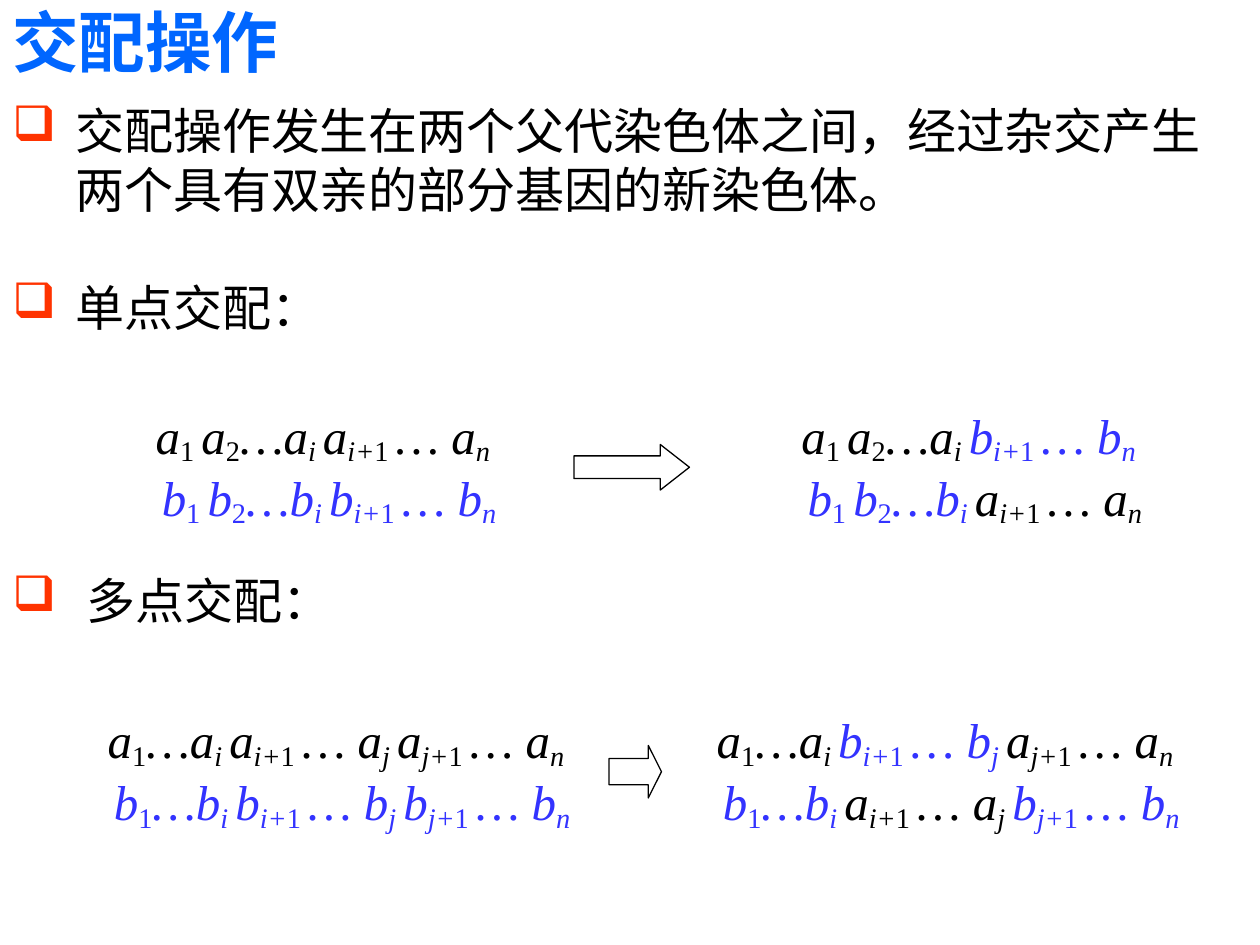
from dataclasses import dataclass

from lxml import etree
from pptx import Presentation
from pptx import util as u
from pptx.dml.color import RGBColor
from pptx.enum import shapes, text
from pptx.oxml.ns import qn
from pptx.slide import Slide

BLUE, BLACK, WHITE, RED = "0066FF", "000000", "FFFFFF", "FF3300"
GENE_COLOURS = {"a": BLACK, "b": "3333FF"}
SINGLE_POINT = ["{0}|1 |{0}|2|…{0}|i ", "{0}|i+|1 |… {0}|n"]
MULTI_POINT = ["{0}|1|…{0}|i ", "{0}|i+|1 |… {0}|j ", "{0}|j+|1 |… {0}|n"]


def colour(value):
    return RGBColor.from_string(value)


@dataclass
class CrossoverSlide:
    """Draws headings, bullets, chromosome pairs and arrows in one style."""

    slide: Slide
    size: float = 28
    font: str = "Times New Roman"
    indent: float = 36

    def style(self, run, tint, size=None, font=None):
        run.font.size = u.Pt(size or self.size)
        run.font.name = font or self.font
        run.font.color.rgb = colour(tint)

    def frame(self, box):
        frame = self.slide.shapes.add_textbox(*map(u.Pt, box)).text_frame
        frame.word_wrap = True
        return frame

    def title(self, box, wording):
        frame = self.frame(box)
        frame.vertical_anchor = text.MSO_ANCHOR.BOTTOM
        frame.text = wording
        heading = frame.paragraphs[0].runs[0]
        self.style(heading, BLUE, 38, "DejaVu Sans")
        heading.font.bold = True

    def bullets(self, box, items):
        frame = self.frame(box)
        frame.text = "\n".join(wording for wording, _ in items)
        for paragraph, (_, gap) in zip(frame.paragraphs, items):
            paragraph.space_before = u.Pt(gap)
            self.style(paragraph.runs[0], BLACK)
            props = paragraph._p.get_or_add_pPr()
            props.set("marL", str(u.Pt(self.indent)))
            props.set("indent", str(-u.Pt(self.indent)))
            tint = etree.SubElement(props, qn("a:buClr"))
            etree.SubElement(tint, qn("a:srgbClr"), val=RED)
            etree.SubElement(props, qn("a:buChar"), char="❑")

    def block(self, kind, box):
        block = self.slide.shapes.add_shape(kind, *map(u.Pt, box))
        block.shadow.inherit = False
        block.fill.solid()
        block.fill.fore_color.rgb = colour(WHITE)
        block.line.fill.background()
        return block

    def arrow(self, box, head):
        arrow = self.block(shapes.MSO_SHAPE.RIGHT_ARROW, box)
        arrow.adjustments[1] = head
        arrow.line.color.rgb = colour(BLACK)
        arrow.line.width = u.Pt(0.75)

    def gene_run(self, paragraph, wording, tint):
        run = paragraph.add_run()
        run.text = wording
        self.style(run, tint)
        run.font.italic = not wording[0].isdigit()
        if wording[0] in "12ijn":
            run.font._element.set("baseline", "-15000")

    def chromosomes(self, box, segments, pair):
        frame = self.block(shapes.MSO_SHAPE.RECTANGLE, box).text_frame
        frame.word_wrap = False
        frame.vertical_anchor = text.MSO_ANCHOR.MIDDLE
        first, second = frame.paragraphs[0], frame.add_paragraph()
        self.gene_run(second, " ", BLACK)
        for paragraph, parents in zip((first, second), pair):
            paragraph.alignment = text.PP_ALIGN.CENTER
            for segment, parent in zip(segments, parents):
                for piece in segment.format(parent).split("|"):
                    self.gene_run(paragraph, piece, GENE_COLOURS[parent])


def main():
    deck = Presentation()
    deck.slide_width, deck.slide_height = u.Pt(720), u.Pt(540)
    page = CrossoverSlide(deck.slides.add_slide(deck.slide_layouts[6]))

    page.title((0, 0, 618, 50), "交配操作")
    page.bullets((0, 54, 720, 486), [
        ("交配操作发生在两个父代染色体之间，经过杂交产生两个具有双亲的部分基因的新染色体。", 0),
        ("单点交配：", 33.5),
        (" 多点交配：", 134),
    ])

    page.chromosomes((48, 228, 273, 78), SINGLE_POINT, ("aa", "bb"))
    page.arrow((328, 254, 66, 26), 0.64)
    page.chromosomes((417, 228, 273, 78), SINGLE_POINT, ("ab", "ba"))

    page.chromosomes((54, 396, 276, 90), MULTI_POINT, ("aaa", "bbb"))
    page.arrow((348, 426, 30, 30), 0.25)
    page.chromosomes((390, 396, 300, 90), MULTI_POINT, ("aba", "bab"))

    deck.save("out.pptx")


if __name__ == "__main__":
    main()
